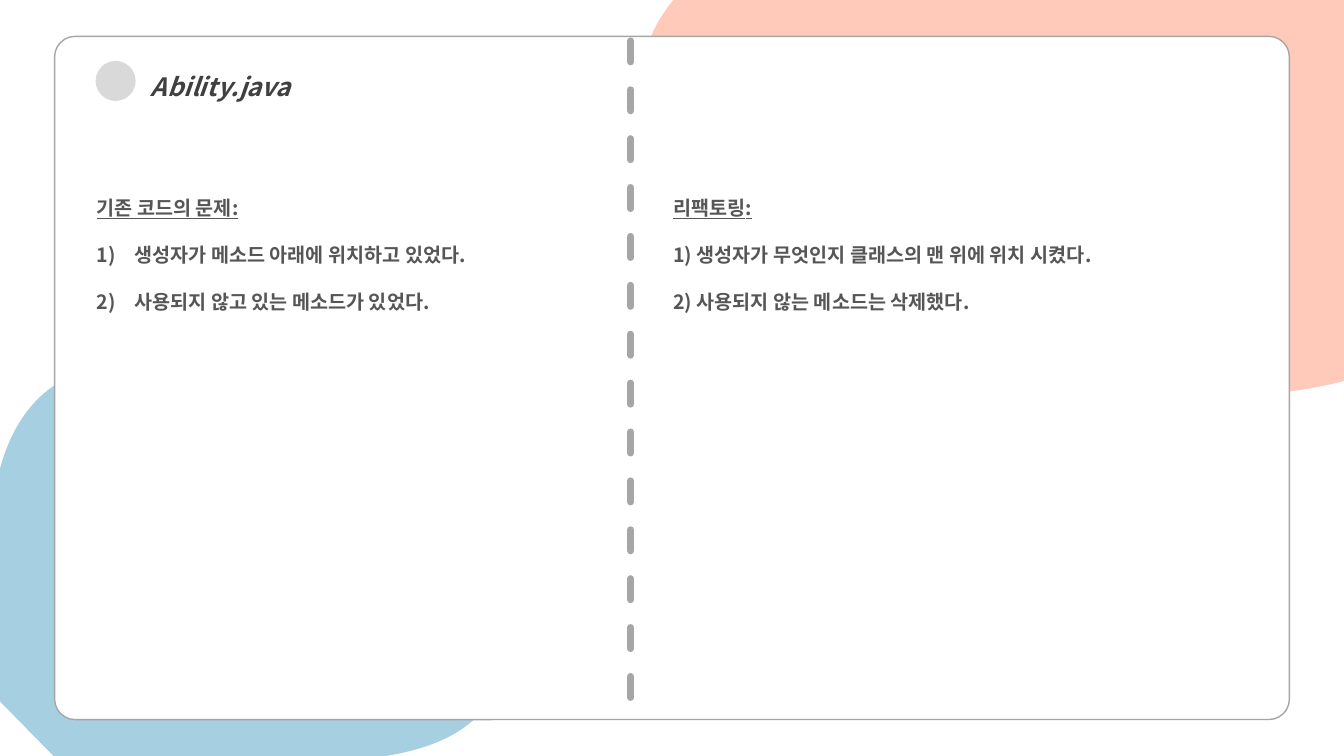
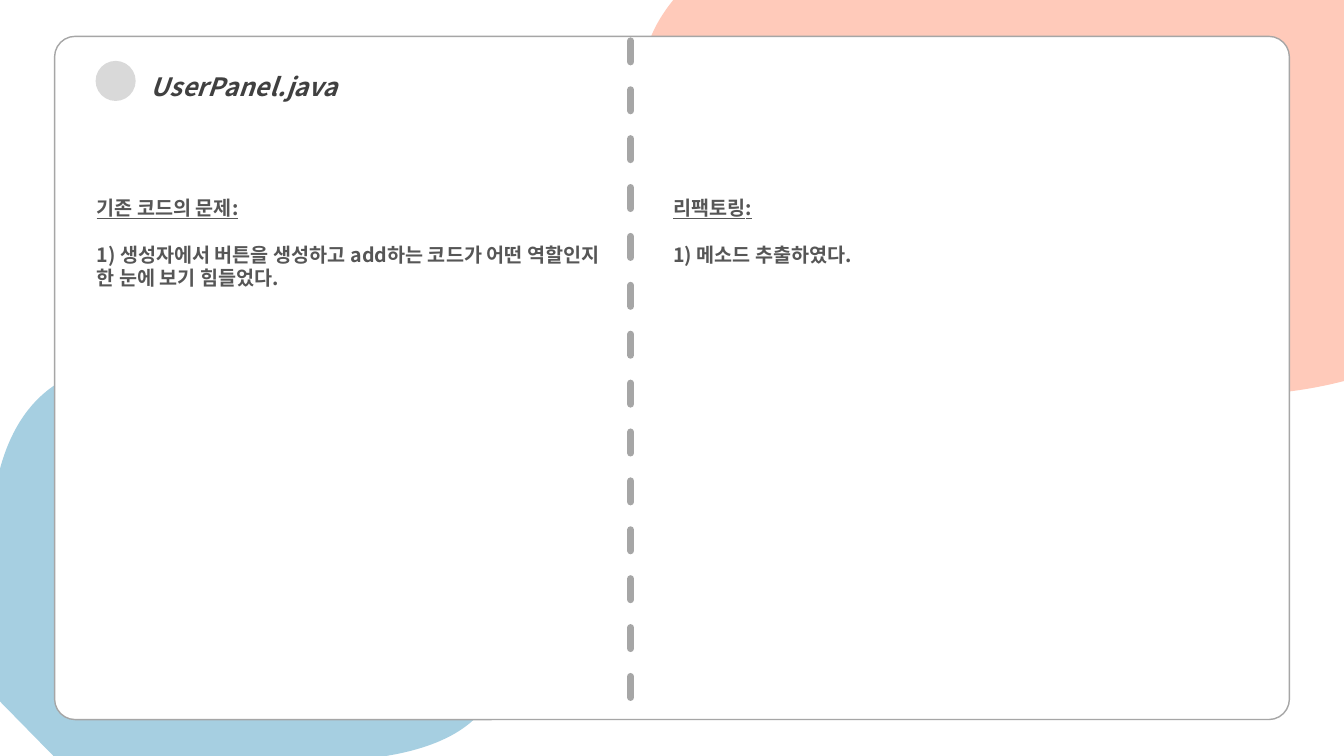
from dataclasses import dataclass

from lxml import etree
from pptx import Presentation
from pptx.dml.color import RGBColor
from pptx.enum.dml import MSO_LINE
from pptx.enum.shapes import MSO_CONNECTOR, MSO_SHAPE
from pptx.enum.text import MSO_AUTO_SIZE
from pptx.oxml.ns import qn
from pptx.util import Pt

DASH = MSO_LINE.DASH
STRAIGHT = MSO_CONNECTOR.STRAIGHT
OVAL = MSO_SHAPE.OVAL
ROUNDED = MSO_SHAPE.ROUNDED_RECTANGLE
GROW = MSO_AUTO_SIZE.SHAPE_TO_FIT_TEXT


@dataclass(frozen=True)
class Theme:
    font: str = "Noto Sans CJK KR"
    blue: str = "A6CFE1"
    peach: str = "FFCABA"
    card: str = "FFFFFF"
    rule: str = "A6A6A6"
    dot: str = "D9D9D9"
    title: str = "404040"
    body: str = "565656"
    title_size: float = 18
    body_size: float = 14
    gap: float = 16.8
    hanging: float = 27


THEME = Theme()
COLUMN_TOP = 136.1
LEFT_COLUMN = (61.9, 380.9)
RIGHT_COLUMN = (473.8, 435.6)
PROBLEM = "기존 코드의 문제:"
REFACTORING = "리팩토링:"

BLUE_FRAME = (0, 260, 356.4, 280)
BLUE_OUTLINE = [
    ("moveTo", [(98.6, 260)]),
    ("cubicBezTo", [(247.7, 264.2), (481, 506.2), (275.8, 540)]),
    ("lnTo", [(38.2, 540)]),
    ("lnTo", [(0, 501.1)]),
    ("lnTo", [(0, 334.8)]),
    ("cubicBezTo", [(15.1, 279.4), (52.6, 258.5), (98.6, 260)]),
]
PEACH_FRAME = (458.6, 0, 501.4, 283)
PEACH_OUTLINE = [
    ("moveTo", [(960, 0)]),
    ("lnTo", [(960, 272.2)]),
    ("cubicBezTo", [(743, 329), (362.9, 144), (481, 0)]),
    ("lnTo", [(960, 0)]),
]


def paint(shape, fill, line=None):
    shape.shadow.inherit = False
    shape.fill.solid()
    shape.fill.fore_color.rgb = RGBColor.from_string(fill)
    if line:
        shape.line.color.rgb = RGBColor.from_string(line)
        shape.line.width = Pt(1)
    else:
        shape.line.fill.background()


def add_blob(page, frame, outline, fill):
    left, top, width, height = frame
    right, bottom = left + width, top + height
    builder = page.shapes.build_freeform(Pt(left), Pt(top))
    builder.add_line_segments([(Pt(right), Pt(top)), (Pt(right), Pt(bottom))])
    blob = builder.convert_to_shape()
    contour = blob._element.spPr.find(".//" + qn("a:path"))
    for segment in list(contour):
        contour.remove(segment)
    for command, points in outline:
        segment = etree.SubElement(contour, qn("a:" + command))
        for x, y in points:
            etree.SubElement(segment, qn("a:pt"),
                             x=str(Pt(x - left)), y=str(Pt(y - top)))
    etree.SubElement(contour, qn("a:close"))
    paint(blob, fill)


def add_shape(page, kind, left, top, width, height, fill, line=None):
    shape = page.shapes.add_shape(kind, Pt(left), Pt(top), Pt(width), Pt(height))
    paint(shape, fill, line)
    return shape


def add_divider(page, x, bottom, top):
    divider = page.shapes.add_connector(STRAIGHT, Pt(x), Pt(bottom), Pt(x), Pt(top))
    divider.line.color.rgb = RGBColor.from_string(THEME.rule)
    divider.line.width = Pt(5)
    divider.line.dash_style = DASH
    divider.line._ln.set("cap", "rnd")
    etree.SubElement(divider._element.spPr, qn("a:effectLst"))


def add_text_box(page, left, top, width, height):
    box = page.shapes.add_textbox(Pt(left), Pt(top), Pt(width), Pt(height))
    box.text_frame.word_wrap = True
    box.text_frame.auto_size = GROW
    return box.text_frame


def style(para, size, color):
    font = para.font
    font.name = THEME.font
    font.size = Pt(size)
    font.bold = True
    font.color.rgb = RGBColor.from_string(color)


def number(para):
    properties = para._p.get_or_add_pPr()
    properties.set("marL", str(Pt(THEME.hanging)))
    properties.set("indent", str(-Pt(THEME.hanging)))
    etree.SubElement(properties, qn("a:buFont"), typeface="+mj-lt")
    etree.SubElement(properties, qn("a:buAutoNum"), type="arabicParenR")


def add_title(page, text):
    para = add_text_box(page, 100.8, 36.4, 319, 36).paragraphs[0]
    para.text = text
    para.line_spacing = 1.5
    style(para, THEME.title_size, THEME.title)
    para.font.italic = True


def add_column(page, column, height, heading, items, numbered=False):
    left, width = column
    frame = add_text_box(page, left, COLUMN_TOP, width, height)
    heading_para = frame.paragraphs[0]
    heading_para.text = heading
    style(heading_para, THEME.body_size, THEME.body)
    heading_para.font.underline = True
    for item in items:
        para = frame.add_paragraph()
        para.text = item
        para.space_before = Pt(THEME.gap)
        if numbered:
            number(para)
        style(para, THEME.body_size, THEME.body)


def add_page(deck, title):
    page = deck.slides.add_slide(deck.slide_layouts[6])
    add_blob(page, BLUE_FRAME, BLUE_OUTLINE, THEME.blue)
    add_blob(page, PEACH_FRAME, PEACH_OUTLINE, THEME.peach)
    card = add_shape(page, ROUNDED, 39, 26, 882, 488, THEME.card, THEME.rule)
    card.adjustments[0] = 0.03
    add_title(page, title)
    add_shape(page, OVAL, 68.3, 43.5, 28.6, 28.6, THEME.dot)
    add_divider(page, 450.5, 498.2, 24)
    return page


def main():
    deck = Presentation()
    deck.slide_width, deck.slide_height = Pt(960), Pt(540)

    ability = add_page(deck, "Ability.java")
    add_column(ability, LEFT_COLUMN, 109, PROBLEM, [
        "생성자가 메소드 아래에 위치하고 있었다.",
        "사용되지 않고 있는 메소드가 있었다.",
    ], numbered=True)
    add_column(ability, RIGHT_COLUMN, 109, REFACTORING, [
        "1) 생성자가 무엇인지 클래스의 맨 위에 위치 시켰다.",
        "2) 사용되지 않는 메소드는 삭제했다.",
    ])

    user_panel = add_page(deck, "UserPanel.java")
    add_column(user_panel, LEFT_COLUMN, 92, PROBLEM, [
        "1) 생성자에서 버튼을 생성하고 add하는 코드가 어떤 역할인지 한 눈에 보기 힘들었다.",
    ])
    add_column(user_panel, RIGHT_COLUMN, 58, REFACTORING, ["1) 메소드 추출하였다."])

    deck.save("out.pptx")


if __name__ == "__main__":
    main()
